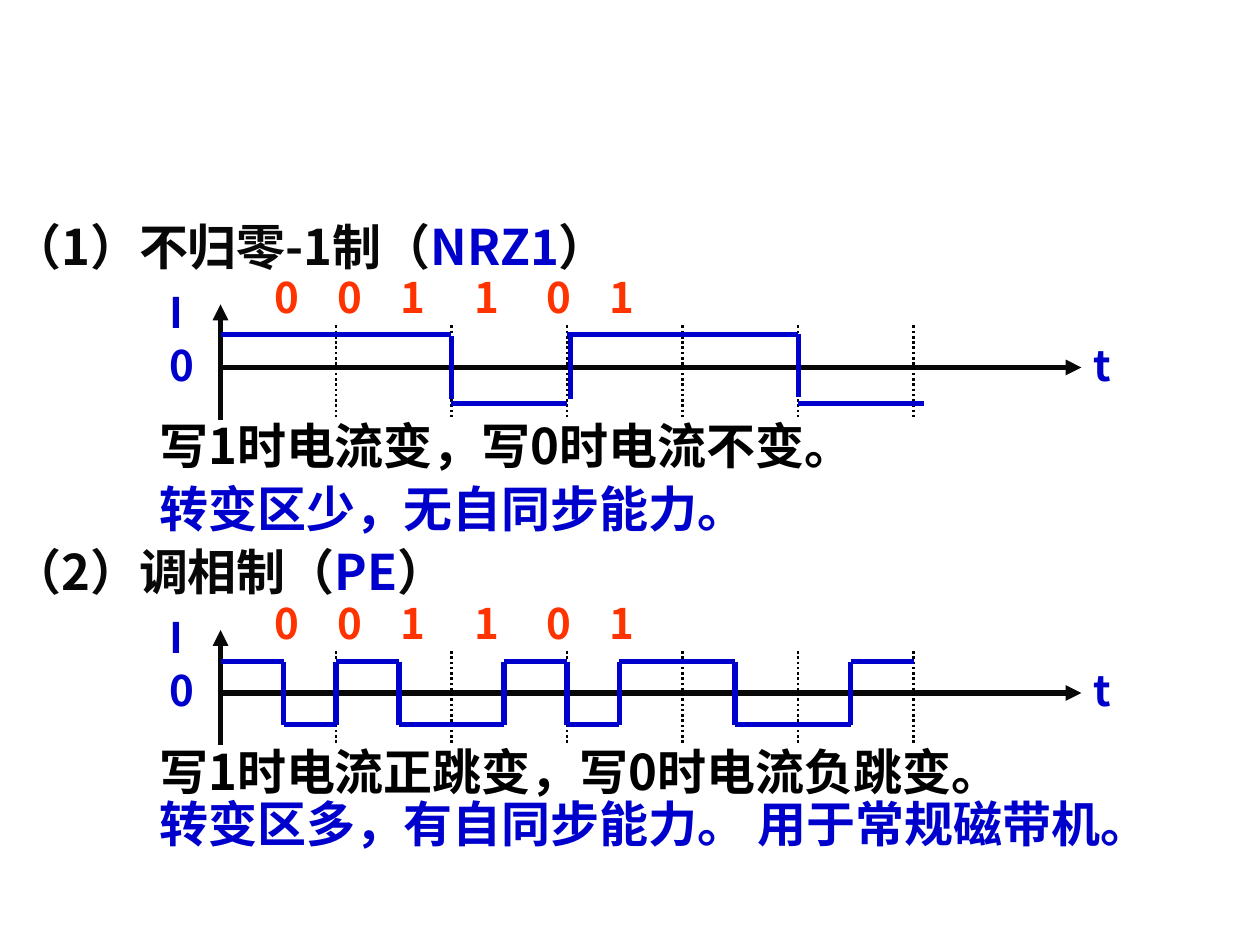
from itertools import pairwise
from lxml.etree import SubElement
from pptx import Presentation
from pptx.dml.color import RGBColor
from pptx.enum.dml import MSO_LINE
from pptx.enum.shapes import MSO_CONNECTOR
from pptx.enum.text import MSO_AUTO_SIZE
from pptx.oxml.ns import qn
from pptx.util import Pt

COLORS = {"blue": "0000CC", "ink": "080808", "black": "000000", "red": "FF3300"}
FONT = "Noto Sans CJK SC"
BITS = "001101"
BIT_TABS = [36, 72, 114, 155, 191]


def add_text(left, top, width, height, runs, size=28, spacing=None, tabs=()):
    """Add a bold one-paragraph box; runs are (words, colour name) pairs."""
    box = page.shapes.add_textbox(Pt(left), Pt(top), Pt(width), Pt(height))
    frame = box.text_frame
    frame.word_wrap = True
    frame.auto_size = MSO_AUTO_SIZE.SHAPE_TO_FIT_TEXT
    para = frame.paragraphs[0]
    if spacing:
        para.line_spacing = spacing
    if tabs:
        tab_list = SubElement(para._p.get_or_add_pPr(), qn("a:tabLst"))
        for position in tabs:
            SubElement(tab_list, qn("a:tab"), pos=str(Pt(position)), algn="l")
    for words, color in runs:
        span = para.add_run()
        span.text = words
        for name, value in {"size": Pt(size), "bold": True, "name": FONT}.items():
            setattr(span.font, name, value)
        span.font.color.rgb = RGBColor.from_string(COLORS[color])
        SubElement(span._r.rPr, qn("a:ea"), typeface=FONT)


def add_line(x1, y1, x2, y2, color, width=3, dash=None, arrow=None):
    """Add a straight line; arrow is headEnd (start) or tailEnd (finish)."""
    line = page.shapes.add_connector(
        MSO_CONNECTOR.STRAIGHT, Pt(x1), Pt(y1), Pt(x2), Pt(y2))
    line.line.color.rgb = RGBColor.from_string(COLORS[color])
    line.line.width = Pt(width)
    if dash:
        line.line.dash_style = dash
    if arrow:
        SubElement(line.line._get_or_add_ln(), qn(f"a:{arrow}"), type="triangle")
    SubElement(line._element.spPr, qn("a:effectLst"))


deck = Presentation()
deck.slide_width, deck.slide_height = Pt(720), Pt(540)
page = deck.slides.add_slide(deck.slide_layouts[6])

# Each wave starts high and switches level at every edge;
# its jumps are (x, top, bottom).
diagrams = [
    {
        "title": ("（1）不归零-1制（", "NRZ1"),
        "top": 120, "high": 191, "low": 230.4,
        "edges": [126, 258, 324, 456, 528],
        "jumps": [(258, 192, 228), (326, 192, 228), (456.5, 191, 227)],
    },
    {
        "title": ("（2）调相制（", "PE"),
        "top": 306, "high": 378, "low": 414,
        "edges": [126, 162, 192, 228, 288, 324, 354, 420, 486, 522],
        "jumps": [(x, 378, 414) for x in (162, 192, 228, 288, 324, 354, 420, 486)],
    },
]

for diagram in diagrams:
    top = diagram["top"]
    heading, code = diagram["title"]
    add_text(0, top, 396, 41, [(heading, "ink"), (code, "blue"), ("）", "ink")])
    add_text(150, top + 42, 480, 24.5, [("\t".join(BITS), "red")],
             size=24, spacing=0.6, tabs=BIT_TABS)
    for label, left, offset in (("I", 90, 48), ("0", 90, 78.2), ("t", 618, 78.2)):
        add_text(left, top + offset, 48, 27.4, [(label, "blue")], size=24, spacing=0.7)

    add_line(126, top + 54, 126, top + 120, "ink", arrow="headEnd")
    add_line(126, top + 90, 618, top + 90, "ink", arrow="tailEnd")
    for period in range(6):
        x = 192 + 66 * period
        add_line(x, top + 66, x, top + 120, "black", 1.5, dash=MSO_LINE.ROUND_DOT)

    for index, (start, end) in enumerate(pairwise(diagram["edges"])):
        level = diagram["low"] if index % 2 else diagram["high"]
        add_line(start, level, end, level, "blue")
    for x, upper, lower in diagram["jumps"]:
        add_line(x, upper, x, lower, "blue")

for words, color, left, top, width in (
    ("写1时电流变，写0时电流不变。", "black", 84, 234, 444),
    ("转变区少，无自同步能力。", "blue", 84, 270, 444),
    ("写1时电流正跳变，写0时电流负跳变。", "black", 84, 420, 636),
    ("转变区多，有自同步能力。", "blue", 84, 450, 444),
    ("用于常规磁带机。", "blue", 426, 450, 294),
):
    add_text(left, top, width, 41, [(words, color)])

deck.save("out.pptx")
